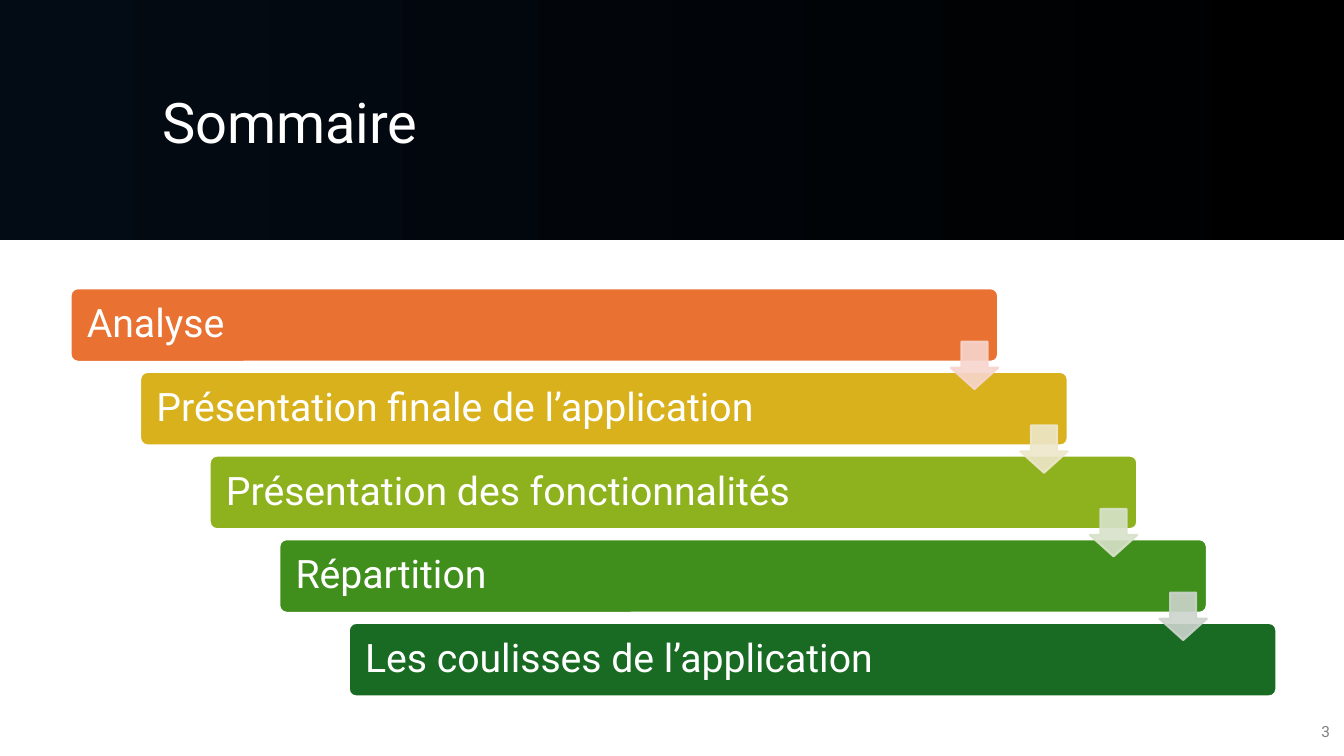
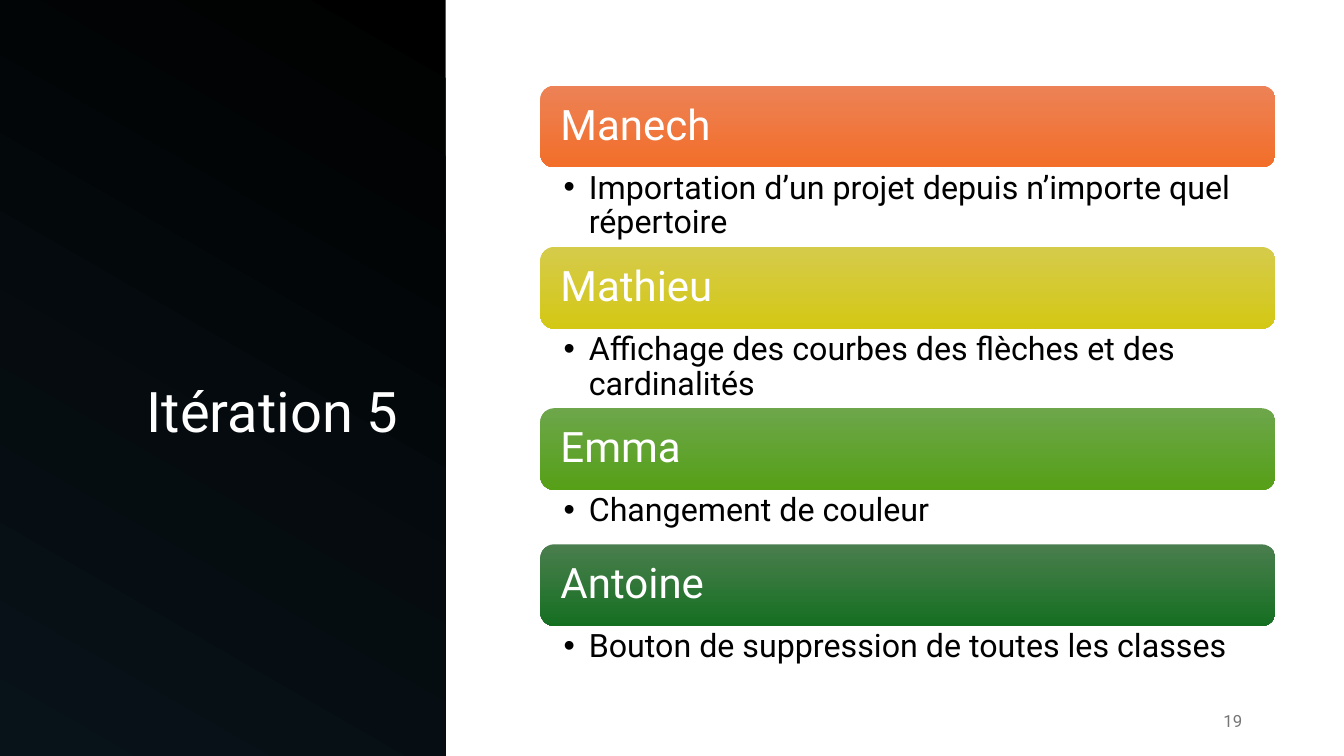
import pptx
import pptx.util
import pptx.dml.color
import pptx.enum.shapes
import pptx.enum.text
import pptx.oxml.ns
from dataclasses import dataclass
from lxml import etree

Inches, Pt = pptx.util.Inches, pptx.util.Pt
RGB = pptx.dml.color.RGBColor.from_string
SHAPE = pptx.enum.shapes.MSO_SHAPE
ALIGN = pptx.enum.text.PP_ALIGN
ANCHOR = pptx.enum.text.MSO_ANCHOR
qn = pptx.oxml.ns.qn


@dataclass(frozen=True)
class Theme:
    font: str = "Roboto"
    white: str = "FFFFFF"
    black: str = "000000"
    band_blue: str = "030B14"
    panel_blue: str = "081319"
    title_size: int = 40
    step_size: int = 28
    card_size: int = 30
    list_size: int = 23


THEME = Theme()

STEPS = [
    ("Analyse", "E97132", "F7D5CD"),
    ("Présentation finale de l’application", "D8B11D", "EEE7CA"),
    ("Présentation des fonctionnalités", "8EB21E", "D8E2CA"),
    ("Répartition", "408E1C", "CCD4CC"),
    ("Les coulisses de l’application", "196B24", None),
]

# name, top colour, bottom colour, task, height of the task
MEMBERS = [
    ("Manech", "ED8256", "F26E29",
     "Importation d’un projet depuis n’importe quel répertoire", 0.79),
    ("Mathieu", "D5CB4B", "D4C815",
     "Affichage des courbes des flèches et des cardinalités", 0.79),
    ("Emma", "6DA64B", "56A017", "Changement de couleur", 0.54),
    ("Antoine", "4A7E4E", "156F21",
     "Bouton de suppression de toutes les classes", 0.54),
]


def set_all(target, values):
    for name, value in values.items():
        setattr(target, name, value)


def place(sp, box):
    names = ("left", "top", "width", "height")
    set_all(sp, dict(zip(names, map(Inches, box))))


class Deck:
    def __init__(self, theme):
        self.theme = theme
        self.prs = pptx.Presentation()
        set_all(self.prs, {"slide_width": Inches(13.33), "slide_height": Inches(7.5)})
        self.s = None

    def slide(self, layout):
        self.s = self.prs.slides.add_slide(self.prs.slide_layouts.get_by_name(layout))

    def text(self, sp, text, size, color, align=ALIGN.LEFT, anchor=ANCHOR.MIDDLE,
             insets=(0.1, 0.05, 0.1, 0.05), after=0, spacing=0.9, bullet=False):
        tf = sp.text_frame
        sides = ("margin_left", "margin_top", "margin_right", "margin_bottom")
        set_all(tf, {"word_wrap": True, "vertical_anchor": anchor,
                     "auto_size": pptx.enum.text.MSO_AUTO_SIZE.NONE,
                     **dict(zip(sides, map(Inches, insets)))})
        p = tf.paragraphs[0]
        if bullet:
            self.bullet(p, color)
        set_all(p, {"alignment": align, "line_spacing": spacing,
                    "space_before": Pt(0), "space_after": Pt(after)})
        r = p.add_run()
        r.text = text
        set_all(r.font, {"name": self.theme.font, "size": Pt(size), "bold": False})
        r.font.color.rgb = RGB(color)

    def bullet(self, p, color, indent=0.25):
        pPr = p._p.get_or_add_pPr()
        pPr.set("marL", str(Inches(indent)))
        pPr.set("indent", str(-Inches(indent)))
        clr = etree.SubElement(pPr, qn("a:buClr"))
        etree.SubElement(clr, qn("a:srgbClr"), val=color)
        etree.SubElement(pPr, qn("a:buChar"), char="•")

    def shape(self, kind, box, fill, line=None, adjustments=()):
        """Fill is one colour, or (start, end, clockwise angle) for a gradient."""
        sp = self.s.shapes.add_shape(kind, *map(Inches, box))
        sp.shadow.inherit = False
        for i, value in enumerate(adjustments):
            sp.adjustments[i] = value
        if isinstance(fill, str):
            sp.fill.solid()
            sp.fill.fore_color.rgb = RGB(fill)
        else:
            *colors, angle = fill
            sp.fill.gradient()
            sp.fill.gradient_angle = 360 - angle
            for stop, color in zip(sp.fill.gradient_stops, colors):
                stop.color.rgb = RGB(color)
        if line:
            sp.line.color.rgb = RGB(line)
            sp.line.width = Pt(1.5)
        else:
            sp.line.fill.background()
        return sp

    def band(self, box, fill):
        """Add a dark area behind the title."""
        sp = self.shape(SHAPE.RECTANGLE, box, fill)
        self.s.shapes.title._element.addprevious(sp._element)

    def title(self, text, box, **style):
        sp = self.s.shapes.title
        place(sp, box)
        self.text(sp, text, self.theme.title_size, self.theme.white, **style)

    def number(self, text, box, size, color, after=0):
        sp = self.s.shapes.add_textbox(*map(Inches, box))
        self.text(sp, text, size, color, align=ALIGN.RIGHT, after=after, spacing=1.0)

    def step(self, text, box, color):
        sp = self.shape(SHAPE.ROUNDED_RECTANGLE, box, color, self.theme.white, [0.1])
        self.text(sp, text, self.theme.step_size, self.theme.white,
                  insets=(0.14, 0.14, 1.3, 0.14), after=12)

    def down_arrow(self, box, color):
        sp = self.shape(SHAPE.DOWN_ARROW, box, color, color, [0.55, 0.45])
        for clr in sp._element.spPr.iter(qn("a:srgbClr")):
            etree.SubElement(clr, qn("a:alpha"), val="90000")

    def card(self, text, box, fill):
        sp = self.shape(SHAPE.ROUNDED_RECTANGLE, box, fill)
        self.text(sp, text, self.theme.card_size, self.theme.white,
                  insets=(0.16,) * 4, after=13)
        return sp

    def task(self, sp, text, box):
        place(sp, box)
        self.text(sp, text, self.theme.list_size, self.theme.black,
                  anchor=ANCHOR.TOP, insets=(0.23, 0.04, 0.23, 0.04),
                  after=6, bullet=True)


def summary_slide(deck):
    t = deck.theme
    deck.slide("Title Only")
    deck.band((0, 0, 13.33, 2.38), (t.band_blue, t.black, 0))
    deck.title("Sommaire", (1.51, 0.38, 10.63, 1.72))
    deck.number("3", (12.8, 7.06, 0.49, 0.4), 11, "7F7F7F", after=6)
    dx, dy = 0.69, 0.83
    for i, (text, color, _) in enumerate(STEPS):
        deck.step(text, (0.7 + i * dx, 2.86 + i * dy, 9.2, 0.73), color)
    for i, (_, _, color) in enumerate(STEPS[:-1]):
        deck.down_arrow((9.43 + i * dx, 3.39 + i * dy, 0.47, 0.47), color)


def iteration_slide(deck):
    t = deck.theme
    deck.slide("Comparison")
    deck.band((0, 0, 4.42, 7.5), (t.black, t.panel_blue, 120))
    deck.title("Itération 5", (0.64, 1.84, 3.41, 2.62),
               align=ALIGN.RIGHT, anchor=ANCHOR.BOTTOM)
    left, top, width, card_height = 5.36, 0.85, 7.29, 0.81
    bodies = list(deck.s.placeholders)[1:]
    for body, (name, start, end, task, height) in zip(bodies, MEMBERS):
        card = deck.card(name, (left, top, width, card_height), (start, end, 90))
        body._element.addprevious(card._element)
        deck.task(body, task, (left, top + card_height, width, height))
        top += card_height + height
    deck.number("19", (9.42, 6.95, 3, 0.4), 12, "767676")


def main():
    deck = Deck(THEME)
    summary_slide(deck)
    iteration_slide(deck)
    deck.prs.save("out.pptx")


if __name__ == "__main__":
    main()
